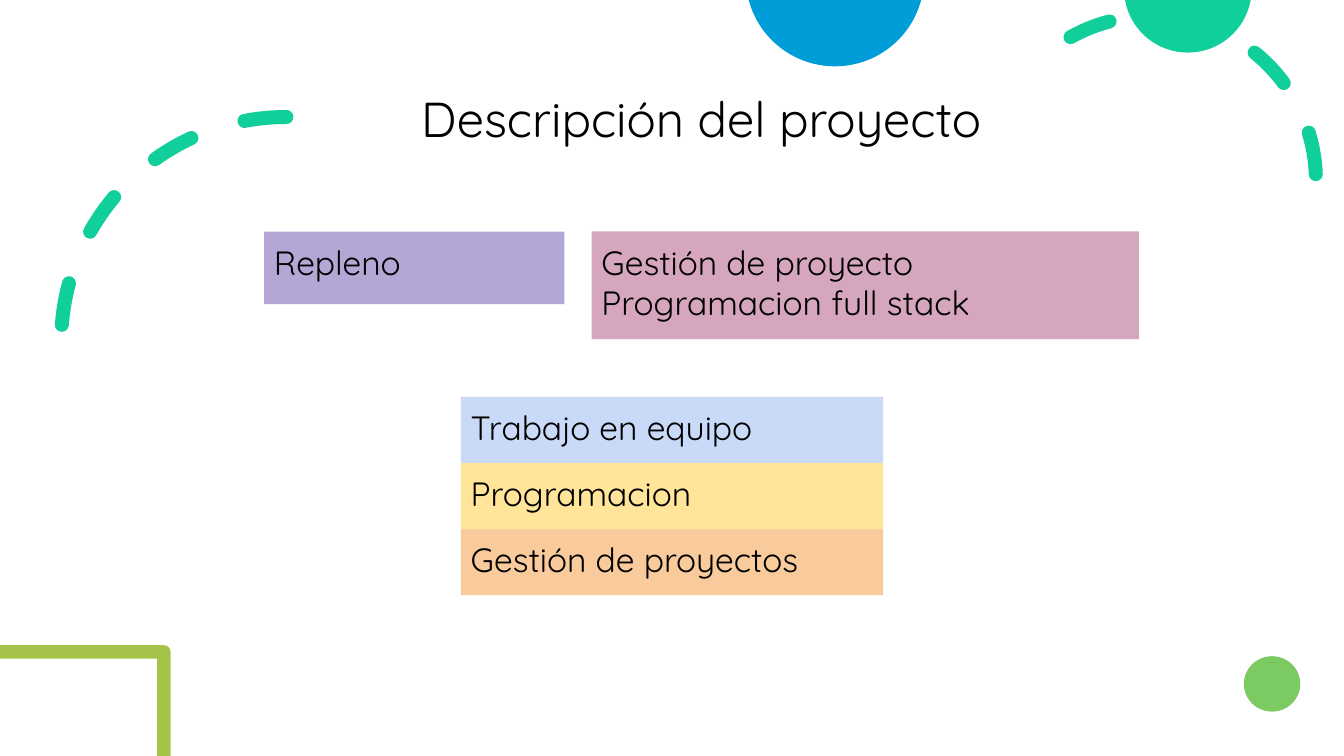
import math

from lxml import etree
from pptx import Presentation
from pptx.dml.color import RGBColor
from pptx.enum import dml, shapes, text
from pptx.oxml.ns import qn
from pptx.util import Pt

COLORS = {
    "text": "000000",
    "mint": "10CF9B",
    "blue": "009DD9",
    "green": "7CCA62",
    "olive": "A5C249",
    "purple": "B4A7D6",
    "pink": "D5A6BD",
    "sky": "C9DAF8",
    "yellow": "FFE599",
    "orange": "F9CB9C",
}
FONT = "Quicksand"
SKILLS = [
    ("Gestión de proyectos", "orange"),
    ("Programacion", "yellow"),
    ("Trabajo en equipo", "sky"),
]


def rgb(color):
    return RGBColor.from_string(COLORS[color])


def paint(shape, color):
    shape.shadow.inherit = False
    shape.fill.solid()
    shape.fill.fore_color.rgb = rgb(color)
    shape.line.fill.background()


def add_run(paragraph, wording, size):
    run = paragraph.add_run()
    run.text = wording
    run.font.name = FONT
    run.font.size = Pt(size)
    run.font.color.rgb = rgb("text")


def add_preset(slide, kind, left, top, width, height):
    return slide.shapes.add_shape(kind, Pt(left), Pt(top), Pt(width), Pt(height))


def add_outline(slide, start, segments, color):
    """Closed outline; a segment of one point is a line, of three a Bézier curve."""
    builder = slide.shapes.build_freeform(Pt(start[0]), Pt(start[1]))
    ends = [(Pt(x), Pt(y)) for x, y in (segment[-1] for segment in segments)]
    builder.add_line_segments(ends, close=True)
    outline = builder.convert_to_shape()
    paint(outline, color)
    steps = list(outline.element.iter(qn("a:lnTo")))
    for step, segment in zip(steps, segments):
        if len(segment) == 3:
            step.getparent().replace(step, bezier(segment, outline.left, outline.top))


def bezier(points, left, top):
    curve = etree.Element(qn("a:cubicBezTo"))
    for x, y in points:
        etree.SubElement(curve, qn("a:pt"), x=str(Pt(x) - left), y=str(Pt(y) - top))
    return curve


def add_hanging_circle(slide, left, width, depth, color):
    """Part of a circle that shows below the top edge of the slide."""
    half = width / 2
    middle, right = left + half, left + width
    radius = (half ** 2 + depth ** 2) / (2 * depth)
    angle = math.acos((radius - depth) / radius)
    handle = 4 / 3 * math.tan(angle / 4) * radius
    across, down = handle * math.cos(angle), handle * math.sin(angle)
    add_outline(slide, (left, 0), [
        [(left + across, down), (middle - handle, depth), (middle, depth)],
        [(middle + handle, depth), (right - across, down), (right, 0)],
    ], color)


def add_corner_frame(slide, right, top, thickness, radius):
    bottom = 540
    inner = right - thickness
    handle = radius * 0.45
    add_outline(slide, (right - radius, top), [
        [(0, top)],
        [(0, top + thickness)],
        [(inner, top + thickness)],
        [(inner, bottom)],
        [(right, bottom)],
        [(right, top + radius)],
        [(right, top + handle), (right - handle, top), (right - radius, top)],
    ], "olive")


def add_dashed_arc(slide, left, top, diameter, start, flipped=False):
    arc = add_preset(slide, shapes.MSO_SHAPE.ARC, left, top, diameter, diameter)
    arc.shadow.inherit = False
    arc.adjustments[0] = start * 0.6
    arc.adjustments[1] = 0
    arc.fill.background()
    arc.line.color.rgb = rgb("mint")
    arc.line.width = Pt(10)
    arc.line.dash_style = dml.MSO_LINE.DASH
    properties = arc.element.spPr
    properties.find(qn("a:ln")).set("cap", "rnd")
    if flipped:
        properties.find(qn("a:xfrm")).set("flipH", "1")


def add_label(slide, left, top, width, height, color, lines):
    label = add_preset(slide, shapes.MSO_SHAPE.RECTANGLE, left, top, width, height)
    paint(label, color)
    frame = label.text_frame
    frame.word_wrap = True
    frame.vertical_anchor = text.MSO_ANCHOR.TOP
    frame.margin_left = frame.margin_right = Pt(7.2)
    frame.margin_top = frame.margin_bottom = Pt(7.2)
    for i, line in enumerate(lines):
        paragraph = frame.add_paragraph() if i else frame.paragraphs[0]
        paragraph.alignment = text.PP_ALIGN.LEFT
        add_run(paragraph, line, 24)


def fill_title(slide, wording):
    title = slide.shapes.title
    title.left, title.top, title.width, title.height = (
        Pt(273.1), Pt(57.6), Pt(455.8), Pt(51.8))
    frame = title.text_frame
    frame.word_wrap = True
    frame.auto_size = text.MSO_AUTO_SIZE.NONE
    frame.vertical_anchor = text.MSO_ANCHOR.BOTTOM
    paragraph = frame.paragraphs[0]
    paragraph.alignment = text.PP_ALIGN.CENTER
    paragraph.line_spacing = 0.9
    add_run(paragraph, wording, 35)


def main():
    deck = Presentation()
    deck.slide_width, deck.slide_height = Pt(960), Pt(540)
    slide = deck.slides.add_slide(deck.slide_layouts[0])
    subtitle = slide.placeholders[1].element
    subtitle.getparent().remove(subtitle)

    add_hanging_circle(slide, 803.6, 89.8, 37.6, "mint")
    add_dashed_arc(slide, 43.7, 83.6, 321.8, 270, flipped=True)
    add_dashed_arc(slide, 704.6, 11.5, 235.4, 240.7)
    fill_title(slide, "Descripción del proyecto")
    dot = add_preset(slide, shapes.MSO_SHAPE.OVAL, 888.5, 468.7, 40.3, 39.6)
    paint(dot, "green")
    add_corner_frame(slide, right=121.8, top=460.9, thickness=9.6, radius=4.6)
    add_hanging_circle(slide, 534.8, 123.2, 47.4, "blue")

    add_label(slide, 188.6, 165.4, 214.5, 51.8, "purple", ["Repleno"])
    row_height = 47.2
    for row, (skill, color) in enumerate(SKILLS):
        add_label(slide, 329.2, 377.9 - row * row_height, 301.6, row_height,
                  color, [skill])
    add_label(slide, 422.6, 165.3, 391, 77, "pink",
              ["Gestión de proyecto", "Programacion full stack"])
    deck.save("out.pptx")


if __name__ == "__main__":
    main()
